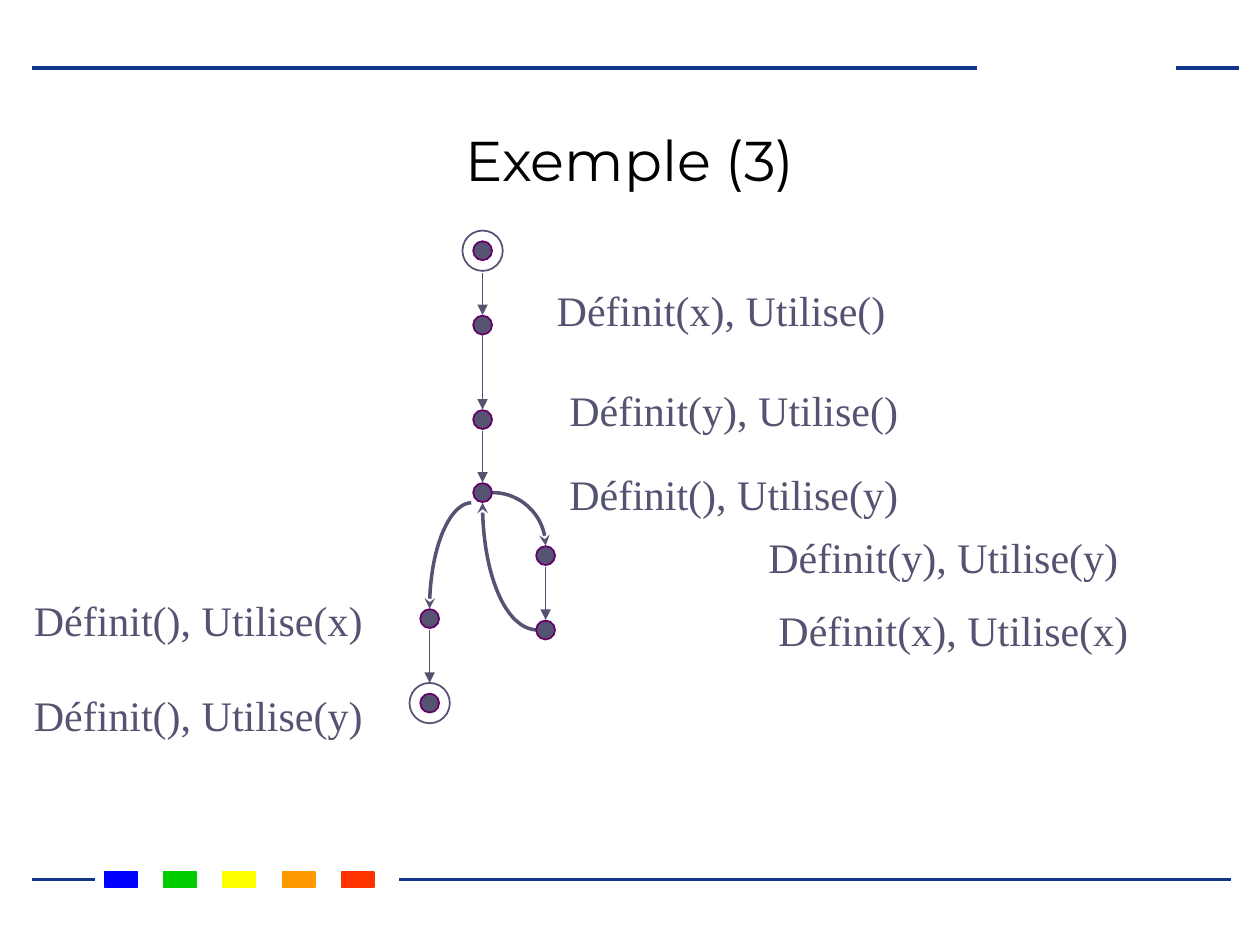
from dataclasses import dataclass

from lxml.etree import SubElement
from pptx import Presentation
from pptx.dml.color import RGBColor
from pptx.enum.shapes import MSO_CONNECTOR as Connector, MSO_SHAPE as Shape
from pptx.enum.text import MSO_ANCHOR as Anchor, PP_ALIGN as Align
from pptx.oxml.ns import qn
from pptx.util import Inches, Pt


@dataclass(frozen=True)
class Theme:
    ink: str = "545472"
    node_border: str = "660066"
    rule: str = "13368D"
    title: str = "000000"
    swatches: tuple[str, ...] = ("0000FF", "00CC00", "FFFF00", "FF9900", "FF3300")
    title_font: str = "Montserrat"
    label_font: str = "Times New Roman"
    title_size: int = 32
    label_size: int = 24


@dataclass(frozen=True)
class Point:
    x: float
    y: float


@dataclass(frozen=True)
class Segment:
    start: Point
    end: Point


@dataclass(frozen=True)
class Node:
    center: Point
    ringed: bool = False


@dataclass(frozen=True)
class Curve:
    """Cubic Bézier edge."""
    start: Point
    control_1: Point
    control_2: Point
    end: Point

    def at(self, t: float) -> Point:
        weights = ((1 - t) ** 3, 3 * t * (1 - t) ** 2, 3 * t * t * (1 - t), t ** 3)
        points = (self.start, self.control_1, self.control_2, self.end)
        return Point(sum(w * p.x for w, p in zip(weights, points)),
                     sum(w * p.y for w, p in zip(weights, points)))


@dataclass(frozen=True)
class Label:
    text: str
    left: float
    top: float
    width: float = 2.81


THEME = Theme()
NODE_SIZE, RING_SIZE = 0.15, 0.32
CURVE_STEPS = 32
MAIN_X, EXIT_X, LOOP_X = 3.83, 3.41, 4.33
SWATCH_LEFT, SWATCH_TOP, SWATCH_STEP = 0.83, 6.92, 0.47

RULES = (
    Segment(Point(0.25, 0.54), Point(7.75, 0.54)),
    Segment(Point(9.33, 0.54), Point(9.83, 0.54)),
    Segment(Point(0.25, 6.98), Point(0.75, 6.98)),
    Segment(Point(3.17, 6.98), Point(9.77, 6.98)),
)
NODES = (
    Node(Point(MAIN_X, 1.99), ringed=True),
    *(Node(Point(MAIN_X, y)) for y in (2.58, 3.33, 3.91)),
    *(Node(Point(LOOP_X, y)) for y in (4.41, 5)),
    Node(Point(EXIT_X, 4.91)),
    Node(Point(EXIT_X, 5.58), ringed=True),
)
EDGES = tuple(
    Segment(Point(x, top), Point(x, bottom))
    for x, top, bottom in (
        (MAIN_X, 2.17, 2.5), (MAIN_X, 2.58, 3.25), (MAIN_X, 3.42, 3.83),
        (EXIT_X, 5, 5.42), (LOOP_X, 4.5, 4.92),
    )
)
CURVES = (
    Curve(Point(3.91, 3.91), Point(4.14, 3.91), Point(LOOP_X, 4.1), Point(LOOP_X, 4.33)),
    Curve(Point(4.27, 5), Point(4.01, 5), Point(MAIN_X, 4.55), Point(MAIN_X, 3.99)),
    Curve(Point(3.74, 3.99), Point(3.56, 4), Point(EXIT_X, 4.37), Point(EXIT_X, 4.83)),
)
LABELS = (
    Label("Définit(x), Utilise()", 4.32, 2.21),
    Label("Définit(y), Utilise()", 4.42, 3),
    Label("Définit(), Utilise(y)", 4.42, 3.67),
    Label("Définit(y), Utilise(y)", 6, 4.17, 2.98),
    Label("Définit(x), Utilise(x)", 6.08, 4.75, 2.98),
    Label("Définit(), Utilise(x)", 0.17, 4.67),
    Label("Définit(), Utilise(y)", 0.17, 5.42),
)


def color(value: str) -> RGBColor:
    return RGBColor.from_string(value)


def style_line(shape, value: str, width: float) -> None:
    shape.line.color.rgb = color(value)
    shape.line.width = Pt(width)


def add_arrowhead(shape, kind: str) -> None:
    SubElement(shape.line._get_or_add_ln(), qn("a:tailEnd"), type=kind)


def add_line(slide, segment: Segment, value: str, width: float):
    start, end = segment.start, segment.end
    line = slide.shapes.add_connector(Connector.STRAIGHT, Inches(start.x), Inches(start.y),
                                      Inches(end.x), Inches(end.y))
    style_line(line, value, width)
    SubElement(line._element.spPr, qn("a:effectLst"))
    return line


def add_filled(shapes, kind, left: float, top: float, width: float, height: float,
               fill: str | None, border: str, border_width: float) -> None:
    shape = shapes.add_shape(kind, Inches(left), Inches(top), Inches(width), Inches(height))
    shape.shadow.inherit = False
    if fill:
        shape.fill.solid()
        shape.fill.fore_color.rgb = color(fill)
    else:
        shape.fill.background()
    style_line(shape, border, border_width)


def add_circle(shapes, center: Point, size: float, fill: str | None, border: str) -> None:
    add_filled(shapes, Shape.OVAL, center.x - size / 2, center.y - size / 2, size, size,
               fill, border, 1)


def add_node(slide, node: Node) -> None:
    shapes = slide.shapes.add_group_shape().shapes if node.ringed else slide.shapes
    add_circle(shapes, node.center, NODE_SIZE, THEME.ink, THEME.node_border)
    if node.ringed:
        add_circle(shapes, node.center, RING_SIZE, None, THEME.ink)


def add_curve(slide, curve: Curve) -> None:
    points = [curve.at(step / CURVE_STEPS) for step in range(CURVE_STEPS + 1)]
    vertices = [(Inches(point.x), Inches(point.y)) for point in points]
    builder = slide.shapes.build_freeform(*vertices[0])
    builder.add_line_segments(vertices[1:], close=False)
    shape = builder.convert_to_shape()
    shape.shadow.inherit = False
    shape.fill.background()
    style_line(shape, THEME.ink, 2)
    add_arrowhead(shape, "stealth")


def add_text(slide, label: Label, height: float, font: str, size: int, value: str):
    box = slide.shapes.add_textbox(Inches(label.left), Inches(label.top),
                                   Inches(label.width), Inches(height))
    run = box.text_frame.paragraphs[0].add_run()
    run.text = label.text
    run.font.name, run.font.size = font, Pt(size)
    run.font.color.rgb = color(value)
    return box.text_frame


def main() -> None:
    presentation = Presentation()
    presentation.slide_width, presentation.slide_height = Inches(10), Inches(7.5)
    slide = presentation.slides.add_slide(presentation.slide_layouts[6])

    for rule in RULES:
        add_line(slide, rule, THEME.rule, 2.25)
    for index, swatch in enumerate(THEME.swatches):
        add_filled(slide.shapes, Shape.RECTANGLE, SWATCH_LEFT + index * SWATCH_STEP,
                   SWATCH_TOP, 0.26, 0.12, swatch, swatch, 0.75)

    title = add_text(slide, Label("Exemple (3)", 0.75, 0.84, 8.5), 0.74,
                     THEME.title_font, THEME.title_size, THEME.title)
    title.word_wrap = True
    title.vertical_anchor = Anchor.BOTTOM
    title.paragraphs[0].alignment = Align.CENTER

    for curve in CURVES:
        add_curve(slide, curve)
    for edge in EDGES:
        add_arrowhead(add_line(slide, edge, THEME.ink, 0.75), "triangle")
    for node in NODES:
        add_node(slide, node)
    for label in LABELS:
        frame = add_text(slide, label, 0.5, THEME.label_font, THEME.label_size, THEME.ink)
        frame.word_wrap = False

    presentation.save("out.pptx")


if __name__ == "__main__":
    main()
